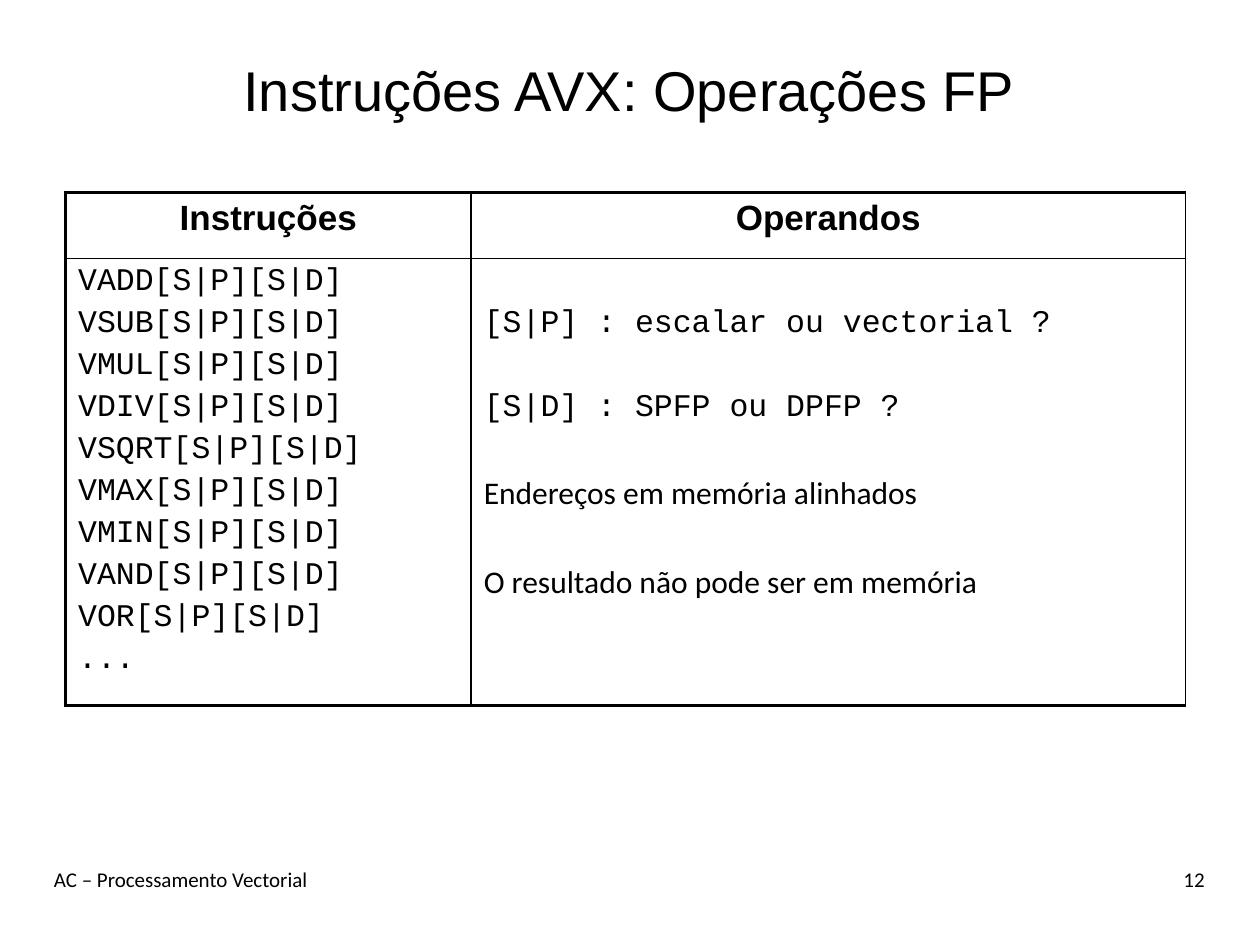
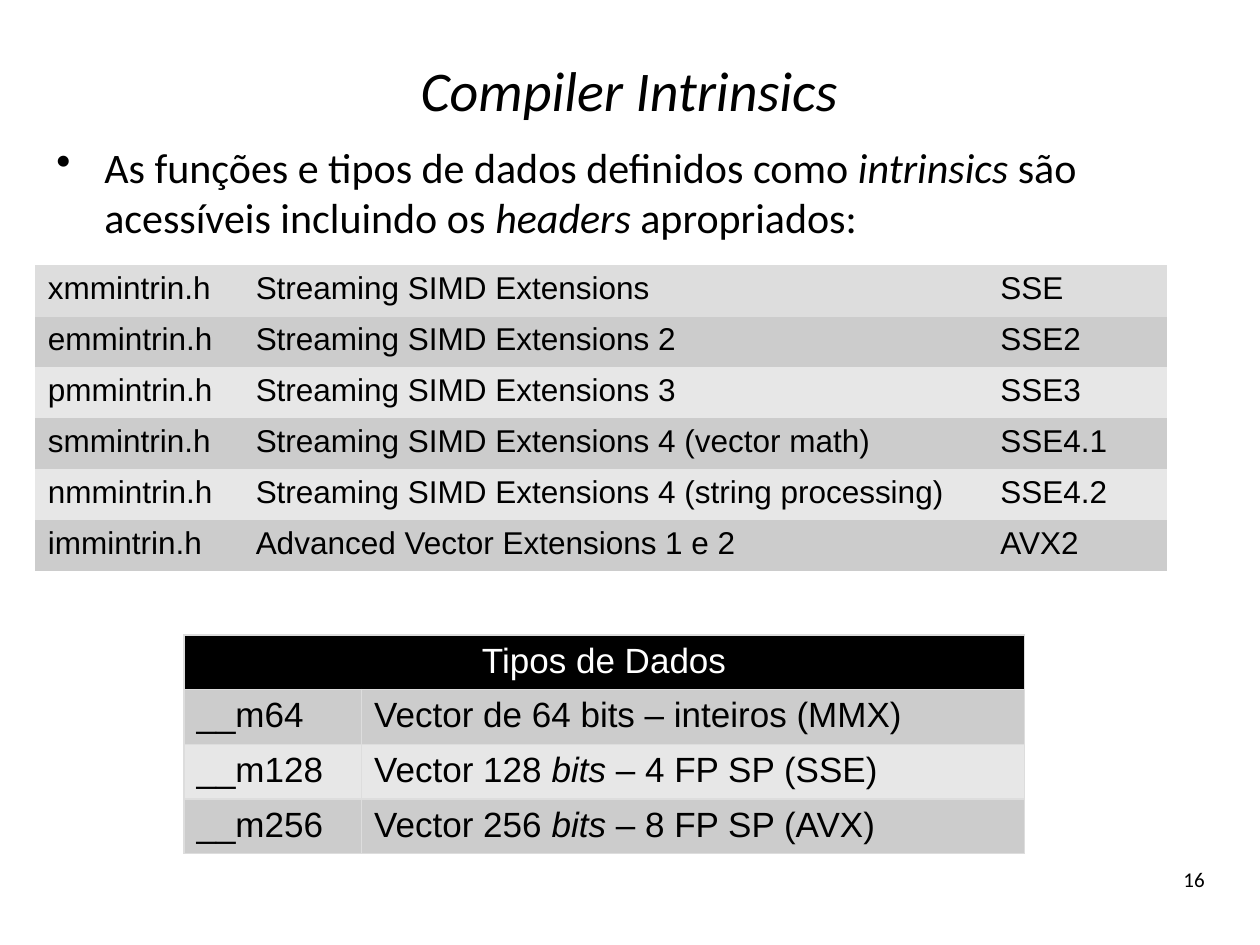
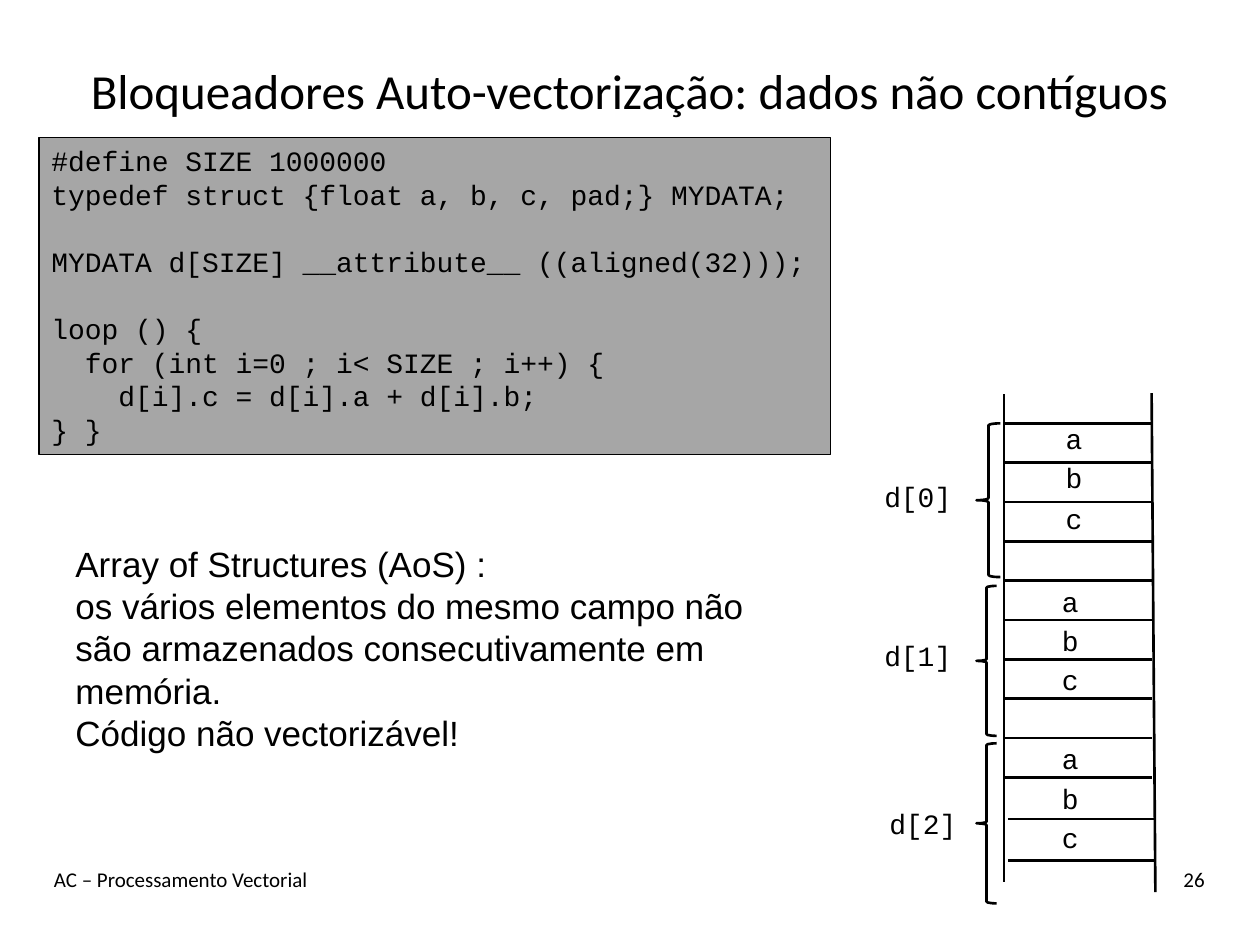
from dataclasses import dataclass
from typing import Optional

from lxml import etree
from pptx import Presentation
from pptx.dml.color import RGBColor
from pptx.enum.shapes import MSO_CONNECTOR, MSO_SHAPE
from pptx.enum.text import MSO_ANCHOR, PP_ALIGN
from pptx.oxml.ns import qn
from pptx.util import Inches, Pt

LEFT, CENTER, RIGHT = PP_ALIGN.LEFT, PP_ALIGN.CENTER, PP_ALIGN.RIGHT
TOP, MIDDLE = MSO_ANCHOR.TOP, MSO_ANCHOR.MIDDLE
STRAIGHT = MSO_CONNECTOR.STRAIGHT
RECTANGLE, LEFT_BRACE = MSO_SHAPE.RECTANGLE, MSO_SHAPE.LEFT_BRACE

BLACK = RGBColor(0x00, 0x00, 0x00)
WHITE = RGBColor(0xFF, 0xFF, 0xFF)
CODE_GRAY = RGBColor(0xA6, 0xA6, 0xA6)
BAND_DARK = RGBColor(0xCC, 0xCC, 0xCC)
BAND_LIGHT = RGBColor(0xE7, 0xE7, 0xE7)
PALE_GRAY = RGBColor(0xDD, 0xDD, 0xDD)

SANS, BODY, MONO = "Arial", "Calibri", "Courier New"
FOOTER = "AC – Processamento Vectorial"
PLAIN_TABLE_STYLE = "{2D5ABB26-0587-4C30-8999-92F81FD0307C}"


@dataclass
class Line:
    """A paragraph; text between asterisks is italic."""
    text: str
    before: float = 0
    font: Optional[str] = None


@dataclass
class Struct:
    """One element of the array in the memory drawing."""
    name: str
    name_left: float
    name_top: float
    brace_top: float
    brace_width: float
    brace_height: float
    field_left: float
    field_tops: tuple[float, ...]


# Text
def write(frame, lines, *, size: float = 18, font: str = SANS, color: RGBColor = BLACK,
          bold: bool = False, align=LEFT, anchor=TOP, wrap: bool = True,
          spacing: Optional[float] = None, bullet: Optional[str] = None) -> None:
    frame.word_wrap = wrap
    frame.vertical_anchor = anchor
    if isinstance(lines, str):
        lines = [Line(lines)]
    for index, line in enumerate(lines):
        para = frame.paragraphs[0] if index == 0 else frame.add_paragraph()
        para.alignment = align
        if line.before:
            para.space_before = Pt(line.before)
        if spacing:
            para.line_spacing = Pt(spacing)
        if bullet:
            properties = para._p.get_or_add_pPr()
            properties.set("marL", str(Inches(0.38)))
            properties.set("indent", str(Inches(-0.38)))
            etree.SubElement(properties, qn("a:buChar")).set("char", bullet)
        for part, text in enumerate(line.text.split("*")):
            if text:
                span = para.add_run()
                span.text = text
                span.font.size = Pt(size)
                span.font.name = line.font or font
                span.font.color.rgb = color
                span.font.bold = bold
                span.font.italic = part % 2 == 1


def add_text(page, left: float, top: float, width: float, height: float, lines, **style):
    box = page.shapes.add_textbox(Inches(left), Inches(top), Inches(width), Inches(height))
    write(box.text_frame, lines, **style)
    return box


# Lines and shapes
def add_line(page, x1: float, y1: float, x2: float, y2: float) -> None:
    line = page.shapes.add_connector(STRAIGHT, Inches(x1), Inches(y1), Inches(x2), Inches(y2))
    line.line.color.rgb = BLACK
    line.line.width = Pt(1.5)
    etree.SubElement(line._element.spPr, qn("a:effectLst"))


def add_shape(page, kind, left: float, top: float, width: float, height: float, *,
              fill: Optional[RGBColor] = None, weight: float = 1.5):
    shape = page.shapes.add_shape(kind, Inches(left), Inches(top), Inches(width), Inches(height))
    shape.shadow.inherit = False
    if fill is None:
        shape.fill.background()
    else:
        shape.fill.solid()
        shape.fill.fore_color.rgb = fill
    shape.line.color.rgb = BLACK
    shape.line.width = Pt(weight)
    return shape


# Tables
def add_table(page, left: float, top: float, columns: list[float], rows: list[float]):
    frame = page.shapes.add_table(len(rows), len(columns), Inches(left), Inches(top),
                                  Inches(sum(columns)), Inches(sum(rows)))
    table = frame.table
    table._tbl.tblPr.find(qn("a:tableStyleId")).text = PLAIN_TABLE_STYLE
    table.horz_banding = False
    for column, width in zip(table.columns, columns):
        column.width = Inches(width)
    for row, height in zip(table.rows, rows):
        row.height = Inches(height)
    return table


def fill_cell(cell, lines, *, fill: Optional[RGBColor] = None,
              borders: Optional[dict[str, float]] = None,
              border_color: RGBColor = BLACK, **style) -> None:
    write(cell.text_frame, lines, **style)
    properties = cell._tc.get_or_add_tcPr()
    for side in "LRTB":
        if borders and side in borders:
            edge = etree.SubElement(properties, qn(f"a:ln{side}"))
            edge.set("w", str(Pt(borders[side])))
            paint = etree.SubElement(edge, qn("a:solidFill"))
            etree.SubElement(paint, qn("a:srgbClr")).set("val", str(border_color))
    if fill is None:
        cell.fill.background()
    else:
        cell.fill.solid()
        cell.fill.fore_color.rgb = fill


# Shared page frame
def add_page(deck, title: str, number: int, *, font: str = BODY, size: float = 32,
             footer: bool = True):
    page = deck.slides.add_slide(deck.slide_layouts[6])
    add_text(page, 0.33, 0.25, 9.33, 0.92, title, size=size, font=font,
             align=CENTER, anchor=MIDDLE)
    if footer:
        add_text(page, 0.33, 6.83, 7, 0.5, FOOTER, size=12, font=BODY)
    add_text(page, 8.33, 6.83, 1.33, 0.5, str(number), size=12, font=BODY, align=RIGHT)
    return page


def build_operations(deck) -> None:
    page = add_page(deck, "Instruções AVX: Operações FP", 12, font=SANS)
    table = add_table(page, 0.52, 1.53, [3.22, 5.67], [0.52, 3.38])
    edges = {"L": 1, "T": 1, "R": 1, "B": 1}
    for column, heading in enumerate(["Instruções", "Operandos"]):
        outer = {"L": 2.25} if column == 0 else {}
        fill_cell(table.cell(0, column), heading, size=20, bold=True, align=CENTER,
                  borders={**edges, **outer, "T": 2.25})
    names = ["VADD", "VSUB", "VMUL", "VDIV", "VSQRT", "VMAX", "VMIN", "VAND", "VOR"]
    instructions = [f"{name}[S|P][S|D]" for name in names] + ["..."]
    fill_cell(table.cell(1, 0),
              [Line(text, before=3.6 if index else 0) for index, text in enumerate(instructions)],
              font=MONO, borders={**edges, "L": 2.25, "B": 2.25})
    operands = table.cell(1, 1)
    operands.margin_top = Inches(0.38)
    fill_cell(operands, [
        Line("[S|P] : escalar ou vectorial ?"),
        Line("[S|D] : SPFP ou DPFP ?", before=27.6),
        Line("Endereços em memória alinhados", before=27.6, font=BODY),
        Line("O resultado não pode ser em memória", before=29.2, font=BODY),
    ], font=MONO, borders={**edges, "B": 2.25})


def build_intrinsics(deck) -> None:
    page = add_page(deck, "*Compiler Intrinsics*", 16, footer=False)
    add_text(page, 0.35, 1.07, 9.33, 1.09,
             "As funções e tipos de dados definidos como *intrinsics* são "
             "acessíveis incluindo os *headers* apropriados:",
             size=24, font=BODY, bullet="•")

    # Data types
    types = [
        ("__m64", "Vector de 64 bits – inteiros (MMX)"),
        ("__m128", "Vector 128 *bits* – 4 FP SP (SSE)"),
        ("__m256", "Vector 256 *bits* – 8 FP SP (AVX)"),
    ]
    table = add_table(page, 1.46, 5.04, [1.41, 5.26], [0.41] * (len(types) + 1))
    edges = {"L": 1, "T": 1, "R": 1, "B": 1}
    table.cell(0, 0).merge(table.cell(0, 1))
    fill_cell(table.cell(0, 0), "Tipos de Dados", size=20, color=WHITE, align=CENTER,
              fill=BLACK, borders=edges, border_color=PALE_GRAY)
    for row, texts in enumerate(types, start=1):
        for column, text in enumerate(texts):
            fill_cell(table.cell(row, column), text, size=20, borders=edges,
                      border_color=PALE_GRAY, fill=BAND_DARK if row % 2 else BAND_LIGHT)

    # Header files
    headers = [
        ("xmmintrin.h", "Streaming SIMD Extensions", "SSE"),
        ("emmintrin.h", "Streaming SIMD Extensions 2", "SSE2"),
        ("pmmintrin.h", "Streaming SIMD Extensions 3", "SSE3"),
        ("smmintrin.h", "Streaming SIMD Extensions 4 (vector math)", "SSE4.1"),
        ("nmmintrin.h", "Streaming SIMD Extensions 4 (string processing)", "SSE4.2"),
        ("immintrin.h", "Advanced Vector Extensions 1 e 2", "AVX2"),
    ]
    table = add_table(page, 0.28, 2.1, [1.65, 5.91, 1.42], [2.43 / len(headers)] * len(headers))
    for row, texts in enumerate(headers):
        band = BAND_DARK if row % 2 else BAND_LIGHT
        for column, text in enumerate(texts):
            fill_cell(table.cell(row, column), text, fill=band if row else PALE_GRAY,
                      borders=None if row else {"B": 2}, border_color=PALE_GRAY)


def build_blockers(deck) -> None:
    page = add_page(deck, "Bloqueadores Auto-vectorização: dados não contíguos", 26, size=28)
    mono = {"size": 16, "font": MONO, "spacing": 19.2}

    # Code; one line of space before each new part
    code = add_shape(page, RECTANGLE, 0.31, 1.09, 6.28, 2.52, fill=CODE_GRAY, weight=0.75)
    write(code.text_frame, [
        Line("#define SIZE 1000000"),
        Line("typedef struct {float a, b, c, pad;} MYDATA;"),
        Line("MYDATA d[SIZE] __attribute__ ((aligned(32)));", before=19.2),
        Line("loop () {", before=19.2),
        Line("  for (int i=0 ; i< SIZE ; i++) {"),
        Line("    d[i].c = d[i].a + d[i].b;"),
        Line("} }"),
    ], **mono)

    # Memory: structures with their fields
    structs = [
        Struct("d[0]", 6.92, 3.76, 3.36, 0.19, 1.22, 8.36, (3.3, 3.61, 3.93)),
        Struct("d[1]", 6.92, 5.02, 4.65, 0.16, 1.19, 8.33, (4.59, 4.9, 5.21)),
        Struct("d[2]", 6.96, 6.35, 5.9, 0.16, 1.27, 8.33, (5.84, 6.15, 6.46)),
    ]
    for struct in structs:
        brace = add_shape(page, LEFT_BRACE, 7.75, struct.brace_top,
                          struct.brace_width, struct.brace_height)
        brace.adjustments[0] = 0.083
        add_text(page, struct.name_left, struct.name_top, 0.74, 0.37, struct.name,
                 wrap=False, **mono)
        for field, top in zip("abc", struct.field_tops):
            add_text(page, struct.field_left, top, 0.34, 0.37, field, wrap=False, **mono)

    # Memory: sides and cell borders
    add_line(page, 7.97, 3.13, 7.97, 7)
    add_line(page, 9.14, 3.12, 9.17, 7.08)
    for index in range(10):
        y = 3.36 + index * 2.81 / 9
        add_line(page, 7.97, y, 9.14, y)
    for y in (6.5, 6.83):
        add_line(page, 8, y, 9.17, y)

    add_text(page, 0.5, 4.26, 5.67, 1.78, [
        Line("Array of Structures (AoS) :"),
        Line("os vários elementos do mesmo campo não são armazenados "
             "consecutivamente em memória."),
        Line("Código não vectorizável!"),
    ], size=20, spacing=24)


def main() -> None:
    deck = Presentation()
    deck.slide_width, deck.slide_height = Inches(10), Inches(7.5)
    build_operations(deck)
    build_intrinsics(deck)
    build_blockers(deck)
    deck.save("out.pptx")


if __name__ == "__main__":
    main()
